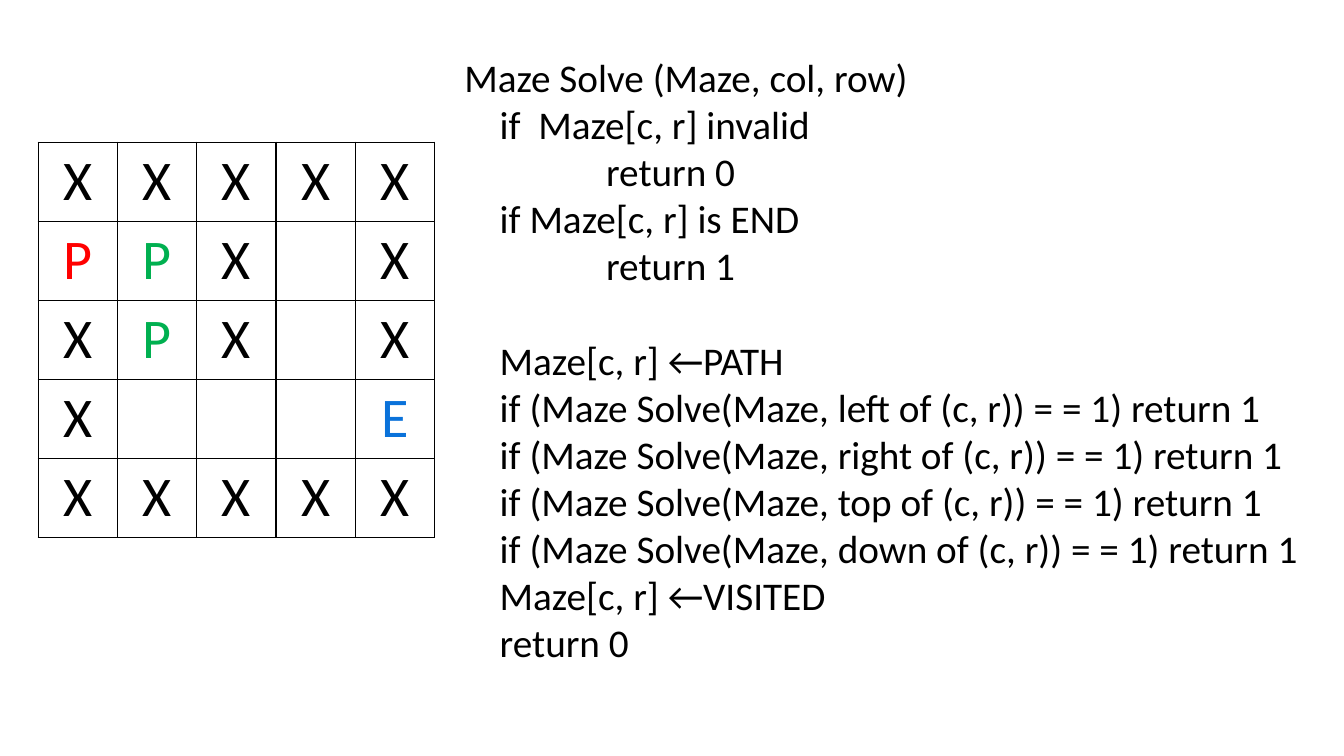
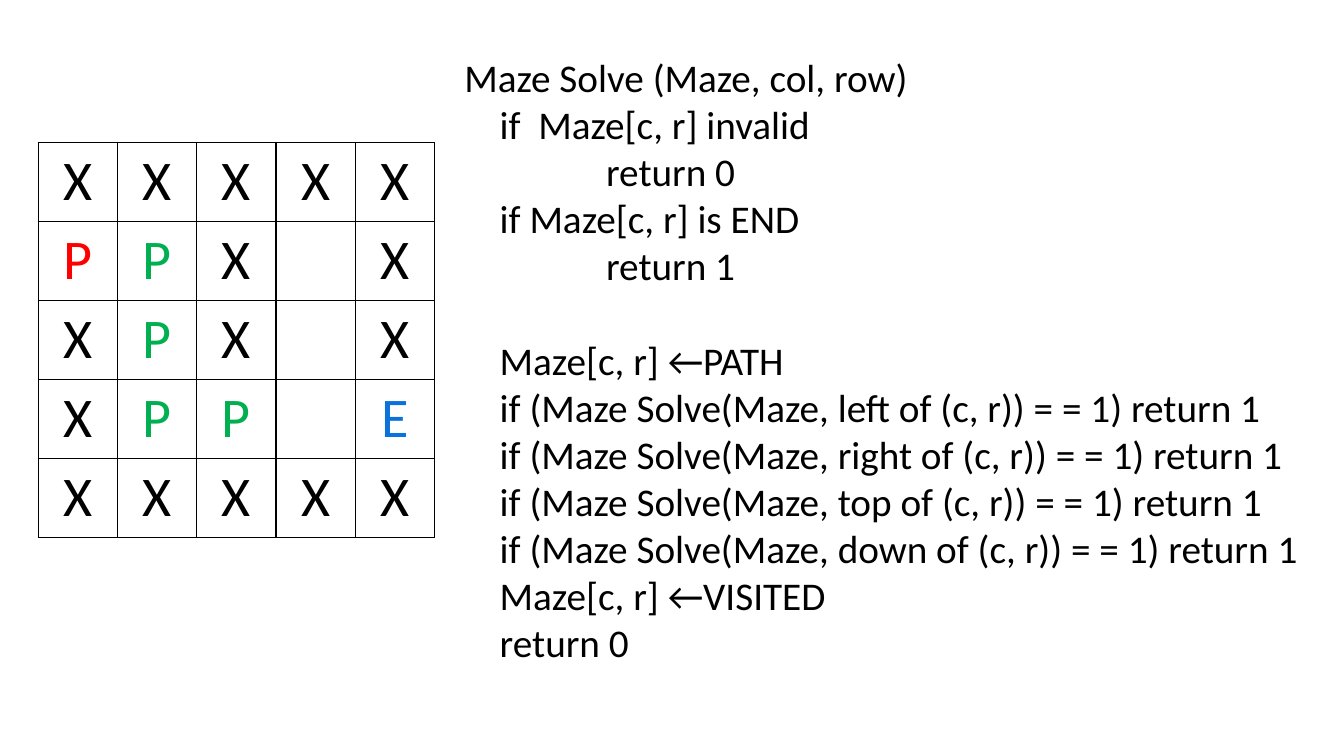
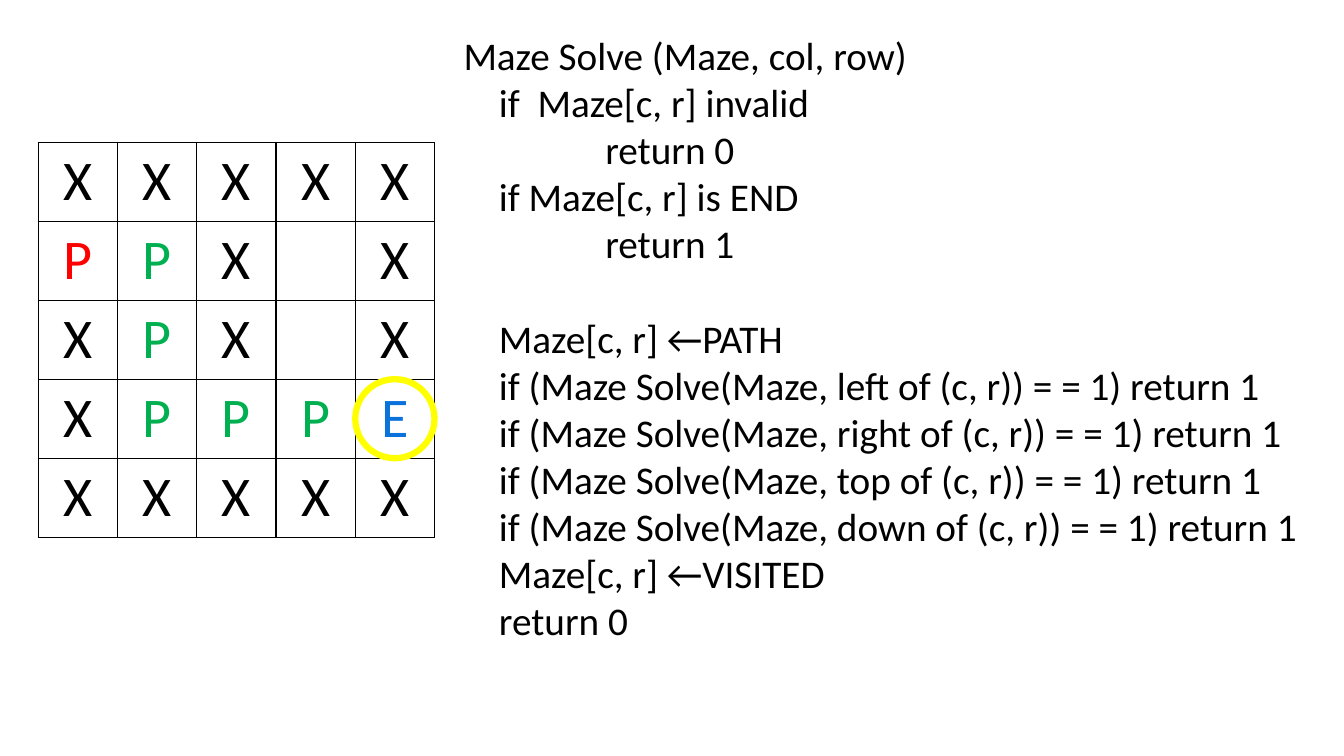
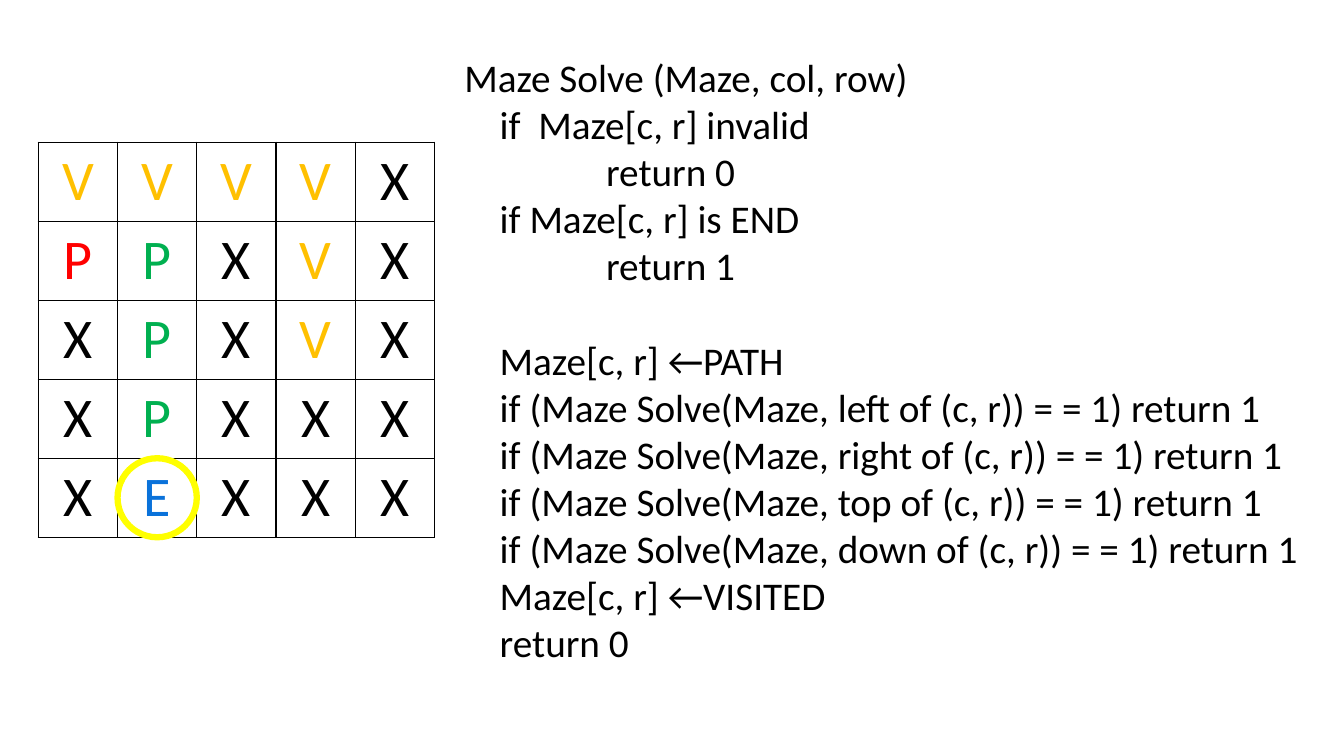
from pptx import Presentation
from pptx.dml.color import RGBColor
from pptx.enum.shapes import MSO_SHAPE
from pptx.enum.text import MSO_ANCHOR, MSO_AUTO_SIZE, PP_ALIGN
from pptx.oxml.ns import qn
from pptx.util import Inches, Pt
from lxml import etree

OVAL = MSO_SHAPE.OVAL
MID = MSO_ANCHOR.MIDDLE
GROW = MSO_AUTO_SIZE.SHAPE_TO_FIT_TEXT
LEFT, MIDDLE = PP_ALIGN.LEFT, PP_ALIGN.CENTER

HUES = {"ink": "000000", "start": "FF0000", "path": "00B050",
        "end": "0A72DA", "seen": "FFC000", "ring": "FFFF00"}

# Mark in a maze: letter shown and its colour; S is the start of the path
MARKS = {"X": ("X", "ink"), "S": ("P", "start"), "P": ("P", "path"),
         "E": ("E", "end"), "V": ("V", "seen")}

CODE = """\
Maze Solve (Maze, col, row)
    if  Maze[c, r] invalid
                return 0
    if Maze[c, r] is END
                return 1

    Maze[c, r] ←PATH
    if (Maze Solve(Maze, left of (c, r)) = = 1) return 1
    if (Maze Solve(Maze, right of (c, r)) = = 1) return 1
    if (Maze Solve(Maze, top of (c, r)) = = 1) return 1
    if (Maze Solve(Maze, down of (c, r)) = = 1) return 1
    Maze[c, r] ←VISITED
    return 0"""

# Code box corner in maze columns and rows
SPOT, HIGH = (5.25, -1.19), (5.24, -1.47)

# Maze rows, code corner, whether the end is ringed
STEPS = [
    (["XXXXX", "SPX X", "XPX X", "X   E", "XXXXX"], SPOT, False),
    (["XXXXX", "SPX X", "XPX X", "XPP E", "XXXXX"], SPOT, False),
    (["XXXXX", "SPX X", "XPX X", "XPPPE", "XXXXX"], HIGH, True),
    (["VVVVX", "SPXVX", "XPXVX", "XPXXX", "XEXXX"], SPOT, True),
]


def hue(name):
    return RGBColor.from_string(HUES[name])


def write(para, text, size=28, color="ink", align=LEFT, before=0):
    para.alignment = align
    para.space_before = Pt(before)
    run = para.add_run()
    run.text = text
    font = run.font
    font.name, font.size = "Calibri", Pt(size)
    font.color.rgb = hue(color)


def edge(cell):
    """Draw a thin line on all four sides of a cell."""
    props = cell._tc.get_or_add_tcPr()
    for side in ("lnL", "lnR", "lnT", "lnB"):
        line = etree.SubElement(props, qn("a:" + side), w=str(Pt(1)))
        fill = etree.SubElement(line, qn("a:solidFill"))
        etree.SubElement(fill, qn("a:srgbClr"), val=HUES["ink"])


class Deck:
    wide, high = 13.33, 7.5
    # Grid: its origin is the maze corner, its unit is one maze cell
    left, top = 0.38, 1.41
    col, row = 3.93 / 5, 3.92 / 5

    def __init__(self):
        self.show = Presentation()
        self.show.slide_width = Inches(self.wide)
        self.show.slide_height = Inches(self.high)

    def page(self):
        self.slide = self.show.slides.add_slide(self.show.slide_layouts[6])

    def area(self, x, y, cols=1, rows=1):
        return (Inches(self.left + x * self.col), Inches(self.top + y * self.row),
                Inches(cols * self.col), Inches(rows * self.row))

    def maze(self, rows):
        size = len(rows)
        grid = self.slide.shapes.add_table(
            size, size, *self.area(0, 0, size, size)).table
        grid.first_row = grid.horz_banding = False
        for y, line in enumerate(rows):
            for x, mark in enumerate(line):
                cell = grid.cell(y, x)
                edge(cell)
                cell.fill.background()
                cell.vertical_anchor = MID
                if mark in MARKS:
                    text, color = MARKS[mark]
                    write(cell.text_frame.paragraphs[0], text,
                          size=40, color=color, align=MIDDLE)

    def code(self, text, spot):
        frame = self.slide.shapes.add_textbox(
            *self.area(*spot, 11.03, 7.95)).text_frame
        frame.word_wrap = True
        frame.auto_size = GROW
        para, gap = frame.paragraphs[0], 0
        for num, line in enumerate(text.split("\n")):
            if not line:
                gap = 34  # an empty line becomes space before the next
                continue
            if num:
                para = frame.add_paragraph()
            write(para, line, before=gap)
            gap = 0

    def ring(self, x, y):
        oval = self.slide.shapes.add_shape(OVAL, *self.area(x, y))
        oval.shadow.inherit = False
        oval.fill.background()
        oval.line.color.rgb = hue("ring")
        oval.line.width = Pt(4.5)


def main():
    deck = Deck()
    for rows, spot, found in STEPS:
        deck.page()
        deck.maze(rows)
        deck.code(CODE, spot)
        if found:
            y = next(i for i, line in enumerate(rows) if "E" in line)
            deck.ring(rows[y].index("E"), y)
    deck.show.save("out.pptx")


if __name__ == "__main__":
    main()
